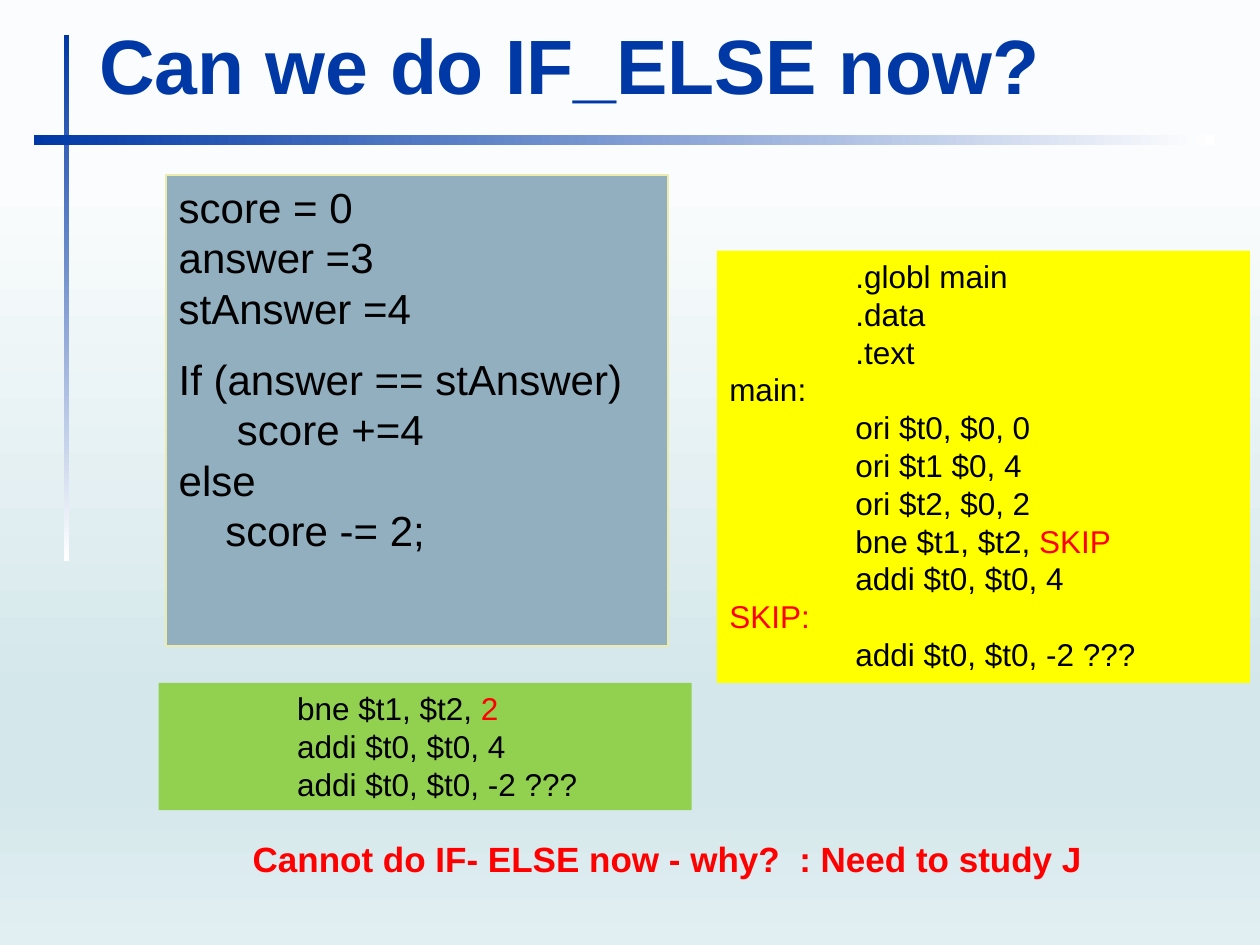
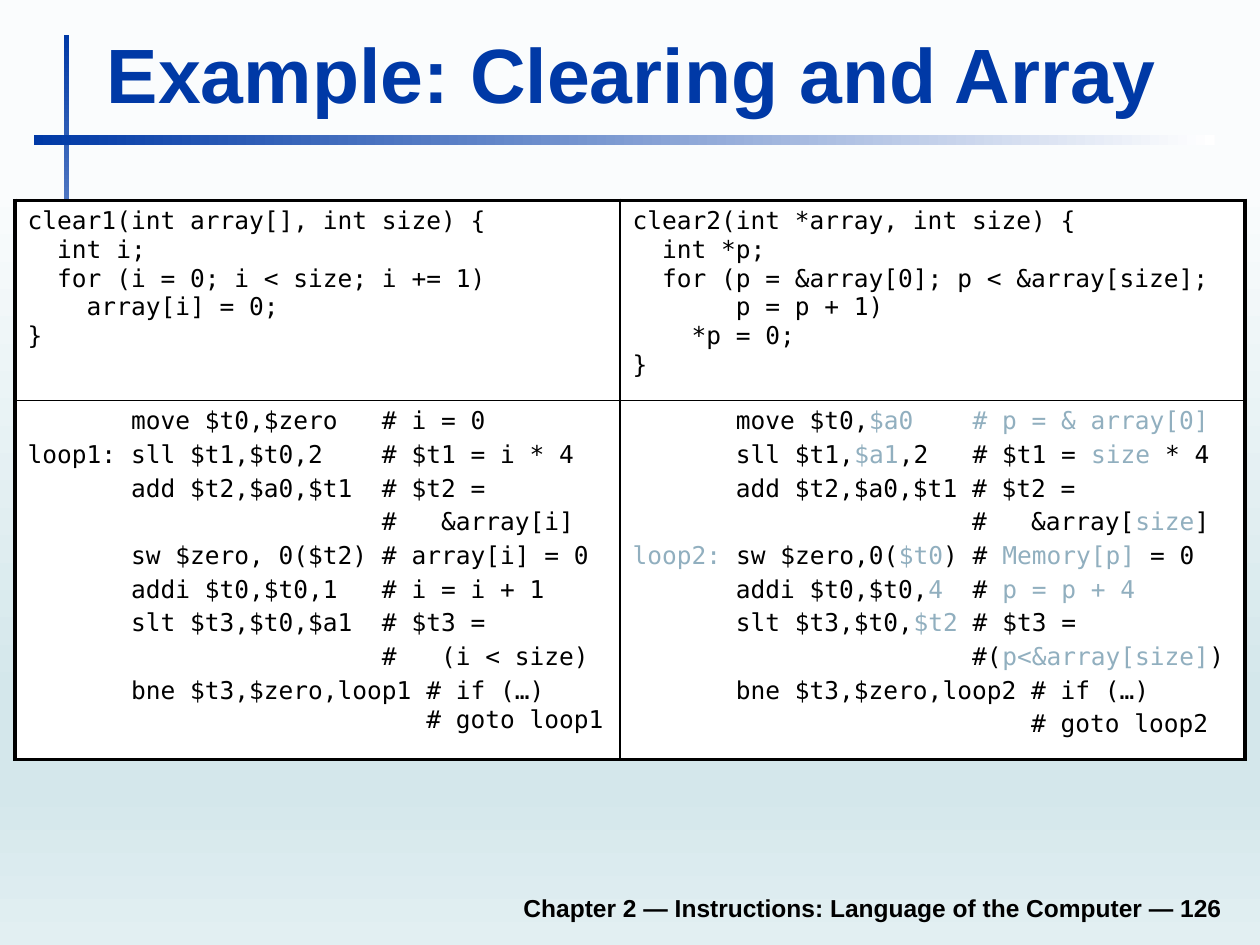
from copy import deepcopy
from lxml import etree
from pptx import Presentation
from pptx import util as u
from pptx.dml.color import RGBColor as Rgb
from pptx.enum import shapes, text
from pptx.oxml import ns

HUE = {"blue": "0039A6", "white": "FFFFFF", "black": "000000", "red": "FF0000",
       "steel": "91AFBF", "cream": "ECEAAC", "yellow": "FFFF00", "green": "92D050"}
SKY = [(0.19, "FAFCFD"), (0.74, "D4E7EB"), (0.83, "D4E7EB"), (1, "E2EFF2")]
SANS, MONO = "Arial", "DejaVu Sans Mono"


def write(frame, lines, size, hue="black", mark="red", font=SANS, bold=False, gap=0):
    """Fill a frame line by line; parts between bars take the mark colour."""
    frame.word_wrap = True
    for n, line in enumerate(lines):
        para = frame.add_paragraph() if n else frame.paragraphs[0]
        para.alignment = text.PP_ALIGN.LEFT
        if n and gap:
            para.space_before = u.Pt(gap)
        for i, bit in enumerate(line.split("|")):
            if bit:
                run = para.add_run()
                run.text = bit
                run.font.size, run.font.name, run.font.bold = u.Pt(size), font, bold
                run.font.color.rgb = Rgb.from_string(HUE[mark if i % 2 else hue])


def block(slide, at, fill=None):
    """Add a plain rectangle without line or shadow."""
    shape = slide.shapes.add_shape(shapes.MSO_SHAPE.RECTANGLE, *map(u.Inches, at))
    shape.shadow.inherit = False
    shape.line.fill.background()
    shape.text_frame.vertical_anchor = text.MSO_ANCHOR.TOP
    if fill:
        shape.fill.solid()
        shape.fill.fore_color.rgb = Rgb.from_string(HUE[fill])
    return shape


prs = Presentation()
prs.slide_width, prs.slide_height = u.Inches(10), u.Inches(7.5)

# Shared look: background, two fading bars, title and bottom line
pages = [
    ("Can we do IF_ELSE now?", (0.69, 0.08, 9.24, 0.84),
     "Cannot do IF- ELSE now - why?  : Need to study J", (1.55, 6.52, 7.14, 0.51), 20, "red"),
    ("Example: Clearing and Array", (0.75, 0.16, 9.03, 0.83),
     "Chapter 2 — Instructions: Language of the Computer — 126",
     (1.85, 6.98, 7.95, 0.39), 14, "black"),
]
bars = [((0.51, 0.28, 0.04, 4.17), 270), ((0.27, 1.07, 9.37, 0.08), 0)]
for title, spot, foot, base, size, hue in pages:
    slide = prs.slides.add_slide(prs.slide_layouts[6])
    back = slide.background.fill
    back.gradient()
    back.gradient_angle = 270
    stops = slide.element.find(".//" + ns.qn("a:gsLst"))
    for _ in range(len(SKY) - len(stops)):
        stops.append(deepcopy(stops[0]))
    for stop, (pos, tint) in zip(back.gradient_stops, SKY):
        stop.position = pos
        stop.color.rgb = Rgb.from_string(tint)

    for at, turn in bars:
        bar = block(slide, at)
        bar.fill.gradient()
        bar.fill.gradient_angle = turn
        for stop, name, pos in zip(bar.fill.gradient_stops, ("blue", "white"), (0, 1)):
            stop.position = pos
            stop.color.rgb = Rgb.from_string(HUE[name])

    for at, words, points, tone, side in (
            (spot, title, 44, "blue", text.PP_ALIGN.LEFT),
            (base, foot, size, hue, text.PP_ALIGN.RIGHT)):
        frame = slide.shapes.add_textbox(*map(u.Inches, at)).text_frame
        frame.vertical_anchor = text.MSO_ANCHOR.BOTTOM
        write(frame, [words], points, tone, bold=True)
        frame.paragraphs[0].alignment = side

first, second = prs.slides

# Slide 1: the source program
code = block(first, (1.32, 1.39, 3.98, 3.74), "steel")
code.line.color.rgb = Rgb.from_string(HUE["cream"])
code.line.width = u.Pt(1)
write(code.text_frame, [
    "score = 0", "answer =3", "stAnswer =4",
    "If (answer == stAnswer)", "     score +=4", "else", "    score -= 2;"], 24)
code.text_frame.paragraphs[3].space_before = u.Pt(12)

# Slide 1: assembly, with all but the labels indented
listings = [
    ((5.69, 1.99, 4.23, 3.43), "yellow", [
        ".globl main", ".data", ".text", "main:", "ori $t0, $0, 0", "ori $t1 $0, 4",
        "ori $t2, $0, 2", "bne $t1, $t2, |SKIP|", "addi $t0, $t0, 4", "|SKIP:|",
        "addi $t0, $t0, -2 ???"]),
    ((1.26, 5.42, 4.23, 1.01), "green", [
        "bne $t1, $t2, |2|", "addi $t0, $t0, 4", "addi $t0, $t0, -2 ???"]),
]
for at, fill, lines in listings:
    frame = block(first, at, fill).text_frame
    write(frame, lines, 18)
    for para in frame.paragraphs:
        if not para.text.endswith(":"):
            para._p.get_or_add_pPr().set("marL", str(u.Inches(1)))

# Slide 2: C code above, assembly below
cells = [
    [["clear1(int array[], int size) {",
      "  int i;",
      "  for (i = 0; i < size; i += 1)",
      "    array[i] = 0;",
      "}"],
     ["clear2(int *array, int size) {",
      "  int *p;",
      "  for (p = &array[0]; p < &array[size];",
      "       p = p + 1)",
      "    *p = 0;",
      "}"]],
    [["       move $t0,$zero   # i = 0",
      "loop1: sll $t1,$t0,2    # $t1 = i * 4",
      "       add $t2,$a0,$t1  # $t2 =",
      "                        #   &array[i]",
      "       sw $zero, 0($t2) # array[i] = 0",
      "       addi $t0,$t0,1   # i = i + 1",
      "       slt $t3,$t0,$a1  # $t3 =",
      "                        #   (i < size)",
      "       bne $t3,$zero,loop1 # if (…)",
      "                           # goto loop1"],
     ["       move $t0,|$a0    # p = & array[0]|",
      "       sll $t1,|$a1|,2   # $t1 = |size| * 4",
      "       add $t2,$a0,$t1 # $t2 =",
      "                       #   &array[|size|]",
      "|loop2:| sw $zero,0(|$t0|) # |Memory[p]| = 0",
      "       addi $t0,$t0,|4|  # |p = p + 4|",
      "       slt $t3,$t0,|$t2| # $t3 =",
      "                       #(|p<&array[size]|)",
      "       bne $t3,$zero,loop2 # if (…)",
      "                           # goto loop2"]],
]
grid = second.shapes.add_table(2, 2, *map(u.Inches, (0.12, 1.59, 9.76, 4.45))).table
grid.first_row = grid.horz_banding = False
for col, wide in zip(grid.columns, (4.8, 4.96)):
    col.width = u.Inches(wide)
for row, high in zip(grid.rows, (1.59, 2.85)):
    row.height = u.Inches(high)

for r, row in enumerate(cells):
    for c, lines in enumerate(row):
        cell = grid.cell(r, c)
        write(cell.text_frame, lines, 14, mark="steel", font=MONO, gap=2.8 * r)
        # Thick outer edges, thin inner ones
        props = cell._tc.get_or_add_tcPr()
        outer = {"L": c == 0, "R": c == 1, "T": r == 0, "B": r == 1}
        for side, thick in outer.items():
            edge = etree.SubElement(props, ns.qn("a:ln" + side),
                                    w=str(u.Pt(2.25 if thick else 1)))
            ink = etree.SubElement(edge, ns.qn("a:solidFill"))
            etree.SubElement(ink, ns.qn("a:srgbClr"), val=HUE["black"])
        cell.fill.solid()
        cell.fill.fore_color.rgb = Rgb.from_string(HUE["white"])

# The last comment continues the line above it
grid.cell(1, 0).text_frame.paragraphs[-1].space_before = u.Pt(0)

prs.save("out.pptx")
